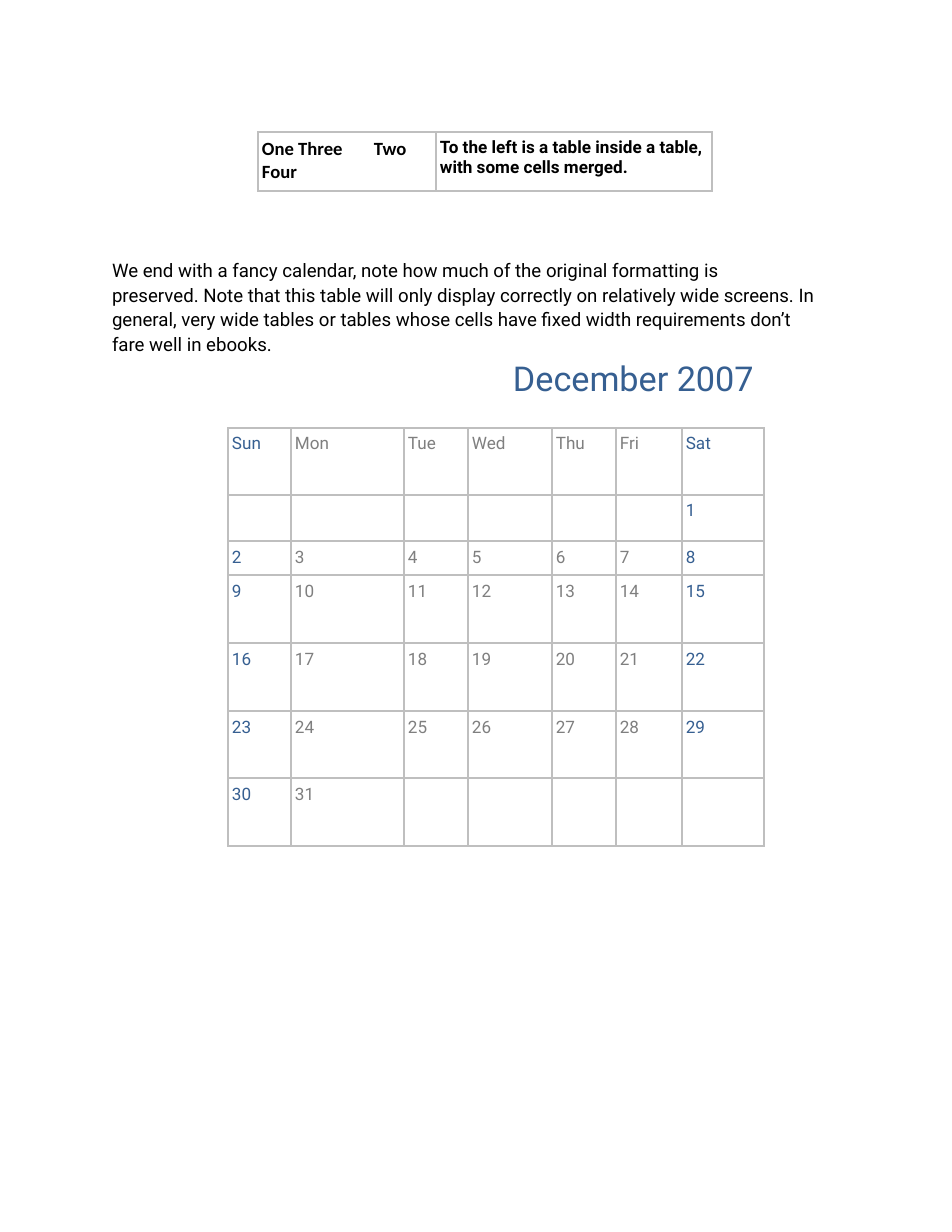
from lxml import etree
from pptx import Presentation, util as u
from pptx.dml.color import RGBColor
from pptx.enum import text as t
from pptx.oxml.ns import qn

SCALE = 914400 // 112
COLORS = {"ink": "000000", "weekend": "365F91", "weekday": "7F7F7F", "border": "BFBFBF"}
INTRO = """We end with a fancy calendar, note how much of the original formatting is
preserved. Note that this table will only display correctly on relatively wide screens. In
general, very wide tables or tables whose cells have fixed width requirements don’t
fare well in ebooks."""


def px(value):
    return u.Emu(value * SCALE)


def write(frame, *paragraphs, size=11, font="Roboto", color="ink", bold=False, spacing=None):
    """Fill a text frame; a newline within a paragraph becomes a line break."""
    for index, content in enumerate(paragraphs):
        paragraph = frame.add_paragraph() if index else frame.paragraphs[0]
        paragraph.text = content
        paragraph.alignment = t.PP_ALIGN.LEFT
        if spacing:
            paragraph.space_before = u.Pt(0)
            paragraph.line_spacing = u.Pt(spacing)
        for run in paragraph.runs:
            run.font.size = u.Pt(size)
            run.font.name = font
            run.font.bold = bold
            run.font.color.rgb = RGBColor.from_string(COLORS[color])


def place_text(placeholder, box, content, **text_format):
    """Move a placeholder to the box and fill it with plain, unbulleted text."""
    placeholder.left, placeholder.top, placeholder.width, placeholder.height = map(px, box)
    frame = placeholder.text_frame
    frame.word_wrap = True
    frame.auto_size = t.MSO_AUTO_SIZE.NONE
    frame.vertical_anchor = t.MSO_ANCHOR.TOP
    frame.margin_left = frame.margin_right = frame.margin_top = frame.margin_bottom = 0
    write(frame, content, **text_format)
    properties = frame.paragraphs[0]._p.get_or_add_pPr()
    properties.set("marL", "0")
    properties.set("indent", "0")
    etree.SubElement(properties, qn("a:buNone"))


def outline_cell(cell):
    properties = cell._tc.get_or_add_tcPr()
    for index, side in enumerate("LRTB"):
        line = etree.Element(qn(f"a:ln{side}"), w=str(u.Pt(1.02)))
        fill = etree.SubElement(line, qn("a:solidFill"))
        etree.SubElement(fill, qn("a:srgbClr"), val=COLORS["border"])
        properties.insert(index, line)


def add_grid(slide, left, top, widths, heights):
    """Add an unfilled table with thin grey borders."""
    table = slide.shapes.add_table(
        len(heights), len(widths), px(left), px(top), px(sum(widths)), px(sum(heights))
    ).table
    table.first_row = table.horz_banding = False
    for column, width in zip(table.columns, widths):
        column.width = px(width)
    for row, height in zip(table.rows, heights):
        row.height = px(height)
    for cell in table.iter_cells():
        cell.margin_left = cell.margin_right = px(4)
        cell.margin_top = cell.margin_bottom = px(6)
        cell.fill.background()
        outline_cell(cell)
    return table


def add_merged_example(slide, left, top):
    table = add_grid(slide, left, top, [178, 276], [59])
    write(table.cell(0, 0).text_frame, "One Three\tTwo", "Four",
          size=12, font="Calibri", bold=True)
    write(table.cell(0, 1).text_frame,
          "To the left is a table inside a table, with some cells merged.", bold=True)


def add_calendar(slide, left, top, first_weekday, day_count):
    table = add_grid(slide, left, top, [63, 113, 64, 84, 64, 66, 82],
                     [67, 34, 34, 68, 68, 67, 68])
    labels = ["Sun", "Mon", "Tue", "Wed", "Thu", "Fri", "Sat"]
    labels += [""] * first_weekday + [str(day) for day in range(1, day_count + 1)]
    for index, label in enumerate(labels):
        if label:
            row, column = divmod(index, 7)
            write(table.cell(row, column).text_frame, label,
                  color="weekend" if column in (0, 6) else "weekday")


def main():
    presentation = Presentation()
    presentation.slide_width = u.Inches(8.5)
    presentation.slide_height = u.Inches(11)
    slide = presentation.slides.add_slide(presentation.slide_layouts[1])
    add_merged_example(slide, 258, 132)
    place_text(slide.placeholders[1], (112, 257, 748, 98), INTRO, size=12, spacing=15.8)
    place_text(slide.shapes.title, (513, 357, 253, 42), "December 2007",
               size=22, color="weekend", spacing=26.4)
    add_calendar(slide, 228, 428, first_weekday=6, day_count=31)
    presentation.save("out.pptx")


if __name__ == "__main__":
    main()
